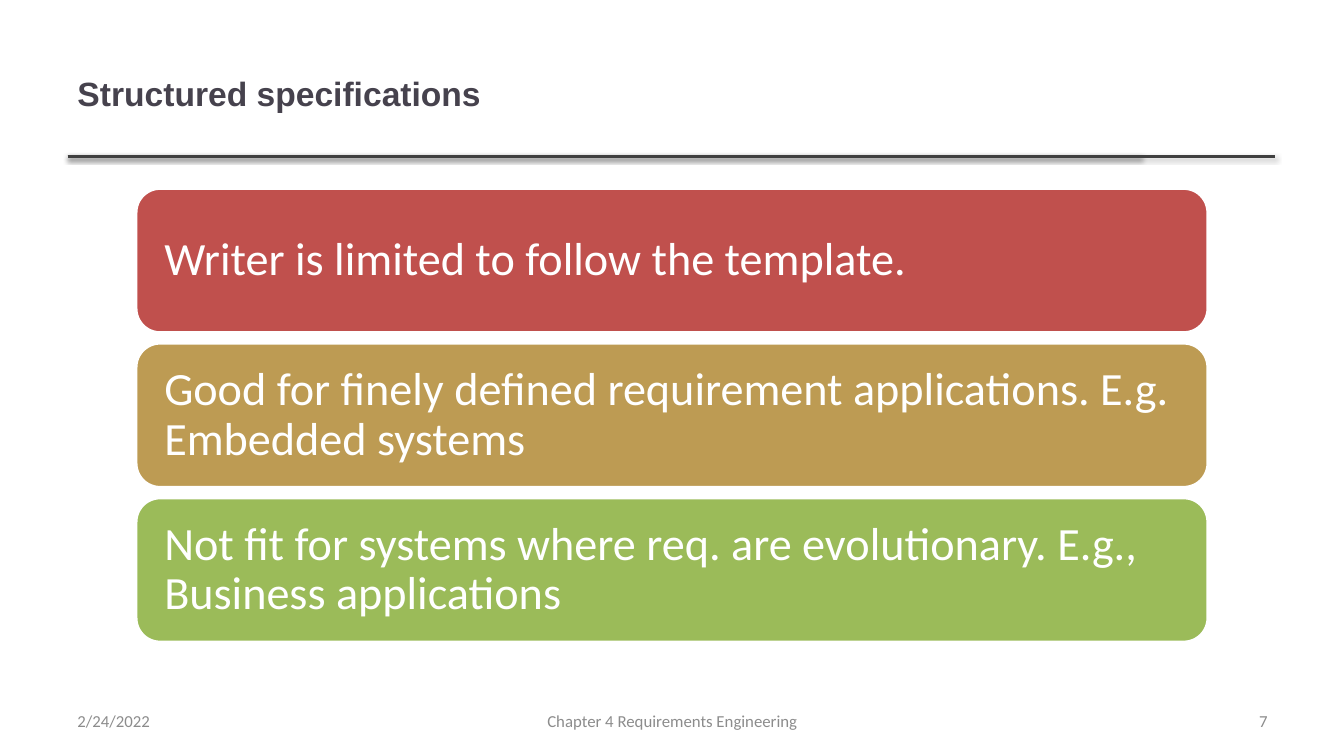
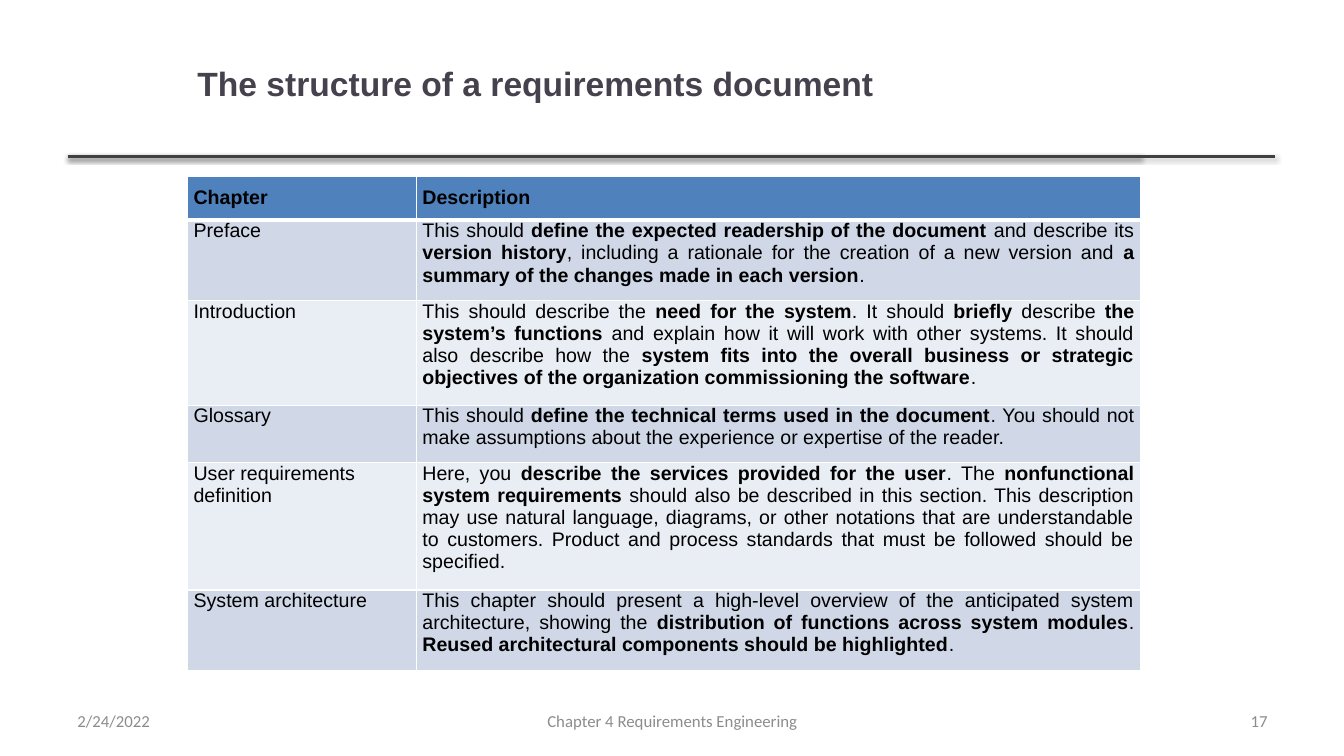
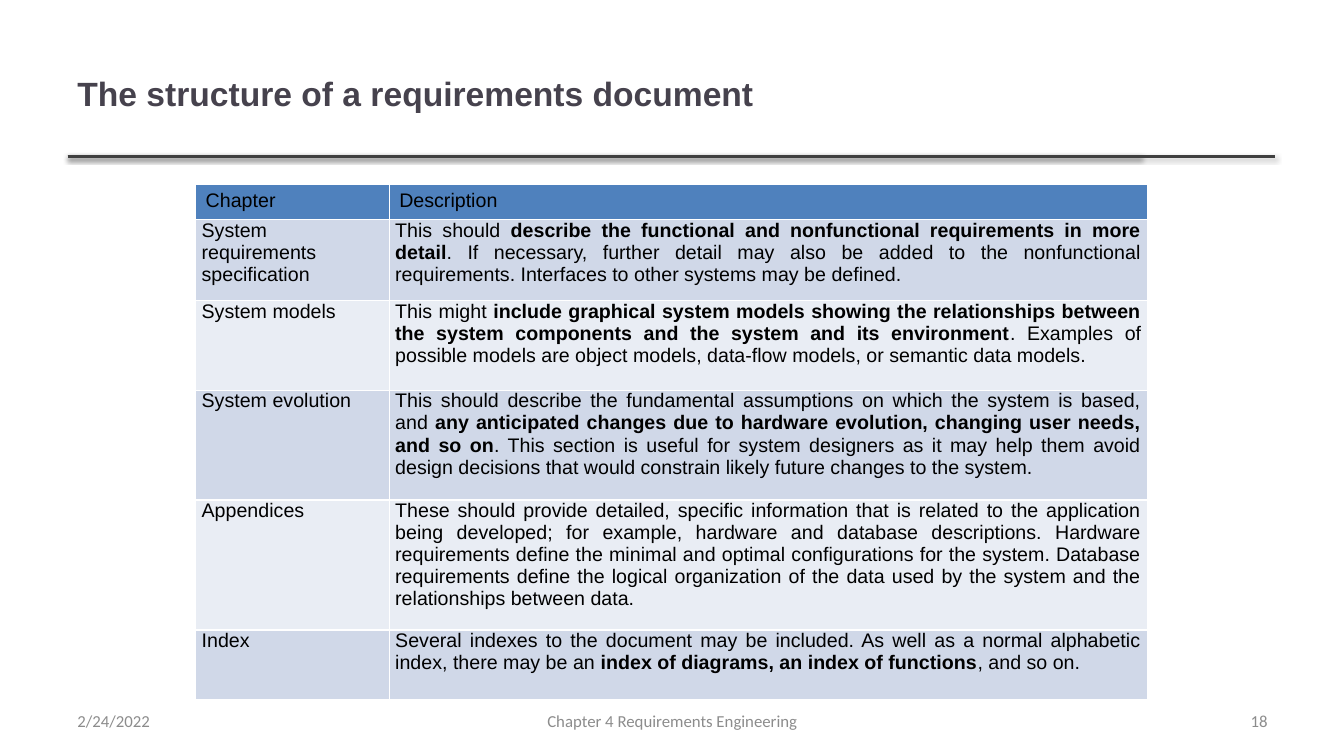
"""Build three slides on structured specifications and requirements documents."""
from lxml.etree import SubElement
from pptx import Presentation
from pptx.dml.color import RGBColor
from pptx.enum.shapes import MSO_CONNECTOR, MSO_SHAPE
from pptx.enum.text import MSO_ANCHOR, PP_ALIGN
from pptx.oxml.ns import qn
from pptx.util import Inches, Pt

WHITE = RGBColor(0xFF, 0xFF, 0xFF)
BLACK = RGBColor(0x00, 0x00, 0x00)
TITLE_COLOR = RGBColor(0x46, 0x42, 0x4D)
RULE_COLOR = RGBColor(0x40, 0x40, 0x40)
FOOTER_COLOR = RGBColor(0x8C, 0x8C, 0x8C)
RED = RGBColor(0xC0, 0x50, 0x4D)
GOLD = RGBColor(0xBD, 0x9B, 0x53)
GREEN = RGBColor(0x9B, 0xBB, 0x59)
HEADER_FILL = RGBColor(0x4F, 0x81, 0xBD)
BAND_FILLS = [RGBColor(0xD0, 0xD8, 0xE8), RGBColor(0xE9, 0xED, 0xF4)]

TITLE_BOX = (0.67, 0.3, 10.63, 1.25)
CARDS = [
    ("Writer is limited to follow the template.", RED),
    ("Good for finely defined requirement applications. E.g. Embedded systems", GOLD),
    ("Not fit for systems where req. are evolutionary. E.g., Business applications", GREEN),
]
FIRST_CHAPTERS = [
    ("*Chapter*", "*Description*"),
    ("Preface", "This should *define the expected readership of the document *and describe its "
     "*version history*, including a rationale for the creation of a new version and "
     "*a summary of the changes made in each version*."),
    ("Introduction", "This should describe the *need for the system*. It should *briefly* describe "
     "*the system’s functions *and explain how it will work with other systems. It should also "
     "describe how the *system fits into the overall business or strategic objectives of the "
     "organization commissioning the software*."),
    ("Glossary", "This should *define the technical terms used in the document*. You should not "
     "make assumptions about the experience or expertise of the reader."),
    ("User requirements definition", "Here, you *describe the services provided for the user*. The "
     "*nonfunctional system requirements *should also be described in this section. This "
     "description may use natural language, diagrams, or other notations that are understandable "
     "to customers. Product and process standards that must be followed should be specified."),
    ("System architecture", "This chapter should present a high-level overview of the anticipated "
     "system architecture, showing the *distribution of functions across system modules*. "
     "*Reused architectural components should be highlighted*."),
]
LAST_CHAPTERS = [
    ("Chapter", "Description"),
    ("System requirements specification", "This should *describe the functional and nonfunctional "
     "requirements in more detail*. If necessary, further detail may also be added to the "
     "nonfunctional requirements. Interfaces to other systems may be defined."),
    ("System models", "This might *include graphical system models showing the relationships "
     "between the system components and the system and its environment*. Examples of possible "
     "models are object models, data-flow models, or semantic data models."),
    ("System evolution", "This should describe the fundamental assumptions on which the system is "
     "based, and *any anticipated changes due to hardware evolution, changing user needs, and so "
     "on*. This section is useful for system designers as it may help them avoid design decisions "
     "that would constrain likely future changes to the system."),
    ("Appendices", "These should provide detailed, specific information that is related to the "
     "application being developed; for example, hardware and database descriptions. Hardware "
     "requirements define the minimal and optimal configurations for the system. Database "
     "requirements define the logical organization of the data used by the system and the "
     "relationships between data."),
    ("Index", "Several indexes to the document may be included. As well as a normal alphabetic "
     "index, there may be an *index of diagrams, an index of functions*, and so on."),
]


def style_paragraph(paragraph, font, size, color, align=PP_ALIGN.LEFT):
    paragraph.alignment = align
    paragraph.font.name = font
    paragraph.font.size = Pt(size)
    paragraph.font.color.rgb = color


def add_text(slide, box, text, font, size, color, align=PP_ALIGN.LEFT, bold=False):
    frame = slide.shapes.add_textbox(*map(Inches, box)).text_frame
    frame.word_wrap = True
    frame.vertical_anchor = MSO_ANCHOR.MIDDLE
    paragraph = frame.paragraphs[0]
    paragraph.text = text
    style_paragraph(paragraph, font, size, color, align)
    paragraph.font.bold = bold


def add_rule(slide, right):
    y = Inches(1.55)
    rule = slide.shapes.add_connector(MSO_CONNECTOR.STRAIGHT, Inches(0.67), y, Inches(right), y)
    rule.line.color.rgb = RULE_COLOR
    rule.line.width = Pt(2)
    effects = SubElement(rule._element.spPr, qn("a:effectLst"))
    shadow = SubElement(effects, qn("a:outerShdw"), blurRad="40000", dist="20000",
                        dir="5400000", rotWithShape="0")
    color = SubElement(shadow, qn("a:srgbClr"), val=str(BLACK))
    SubElement(color, qn("a:alpha"), val="38000")


def add_base_slide(presentation, title, number, title_box=TITLE_BOX):
    slide = presentation.slides.add_slide(presentation.slide_layouts[6])
    for right in (11.32, 12.65):
        add_rule(slide, right)
    add_text(slide, title_box, title, "Arial", 24, TITLE_COLOR, bold=True)
    for left, width, text, align in (
        (0.67, 3.11, "2/24/2022", PP_ALIGN.LEFT),
        (4.56, 4.22, "Chapter 4 Requirements Engineering", PP_ALIGN.CENTER),
        (9.56, 3.11, str(number), PP_ALIGN.RIGHT),
    ):
        add_text(slide, (left, 6.95, width, 0.4), text, "Calibri", 12, FOOTER_COLOR, align)
    return slide


def add_cards(slide, cards, top=1.87, bottom=6.37, height=1.43):
    pitch = (bottom - top - height) / (len(cards) - 1)
    for index, (text, color) in enumerate(cards):
        card = slide.shapes.add_shape(MSO_SHAPE.ROUNDED_RECTANGLE, Inches(1.35),
                                      Inches(top + index * pitch), Inches(10.63), Inches(height))
        card.shadow.inherit = False
        card.fill.solid()
        card.fill.fore_color.rgb = color
        card.line.color.rgb = WHITE
        card.line.width = Pt(2)
        frame = card.text_frame
        frame.word_wrap = True
        frame.vertical_anchor = MSO_ANCHOR.MIDDLE
        frame.margin_left = frame.margin_right = Inches(0.21)
        paragraph = frame.paragraphs[0]
        paragraph.text = text
        paragraph.line_spacing = 0.9
        style_paragraph(paragraph, "Calibri", 33, WHITE)


def set_borders(cell, top, bottom):
    properties = cell._tc.get_or_add_tcPr()
    for tag, width in (("a:lnL", 1), ("a:lnR", 1), ("a:lnT", top), ("a:lnB", bottom)):
        line = SubElement(properties, qn(tag), w=str(Pt(width)))
        fill = SubElement(line, qn("a:solidFill"))
        SubElement(fill, qn("a:srgbClr"), val=str(WHITE))


def fill_cell(cell, marked_text, color, margins, align):
    cell.fill.solid()
    cell.fill.fore_color.rgb = color
    side, top, bottom = map(Inches, margins)
    cell.margin_left = cell.margin_right = side
    cell.margin_top, cell.margin_bottom = top, bottom
    paragraph = cell.text_frame.paragraphs[0]
    for index, part in enumerate(marked_text.split("*")):
        if part:
            run = paragraph.add_run()
            run.text = part
            run.font.bold = index % 2 == 1
    style_paragraph(paragraph, "Arial", 14, BLACK, align)


def add_chapter_table(slide, left, top, widths, heights, rows, header_margins, header_rule):
    table = slide.shapes.add_table(len(rows), len(widths), Inches(left), Inches(top),
                                   Inches(sum(widths)), Inches(sum(heights))).table
    for column, width in zip(table.columns, widths):
        column.width = Inches(width)
    for row_index, (texts, height) in enumerate(zip(rows, heights)):
        table.rows[row_index].height = Inches(height)
        is_header = row_index == 0
        color = HEADER_FILL if is_header else BAND_FILLS[(row_index - 1) % 2]
        margins = header_margins if is_header else (0.06, 0, 0.1)
        for column_index, text in enumerate(texts):
            cell = table.cell(row_index, column_index)
            set_borders(cell, header_rule if row_index == 1 else 1,
                        header_rule if is_header else 1)
            align = PP_ALIGN.JUSTIFY if column_index else PP_ALIGN.LEFT
            fill_cell(cell, text, color, margins, align)


def main():
    presentation = Presentation()
    presentation.slide_width = Inches(13.33)
    presentation.slide_height = Inches(7.5)

    slide = add_base_slide(presentation, "Structured specifications", 7)
    add_cards(slide, CARDS)

    title = "The structure of a requirements document"
    slide = add_base_slide(presentation, title, 17, (1.86, 0.23, 8.06, 1.19))
    add_chapter_table(slide, 1.86, 1.75, (2.27, 7.18), (0.41, 0.75, 0.97, 0.54, 1.2, 0.75),
                      FIRST_CHAPTERS, (0.06, 0.1, 0.1), 3)

    slide = add_base_slide(presentation, title, 18)
    add_chapter_table(slide, 1.94, 1.83, (1.92, 7.52), (0.35, 0.76, 0.89, 1.09, 1.29, 0.69),
                      LAST_CHAPTERS, (0.1, 0.05, 0.05), 1)

    presentation.save("out.pptx")


if __name__ == "__main__":
    main()
